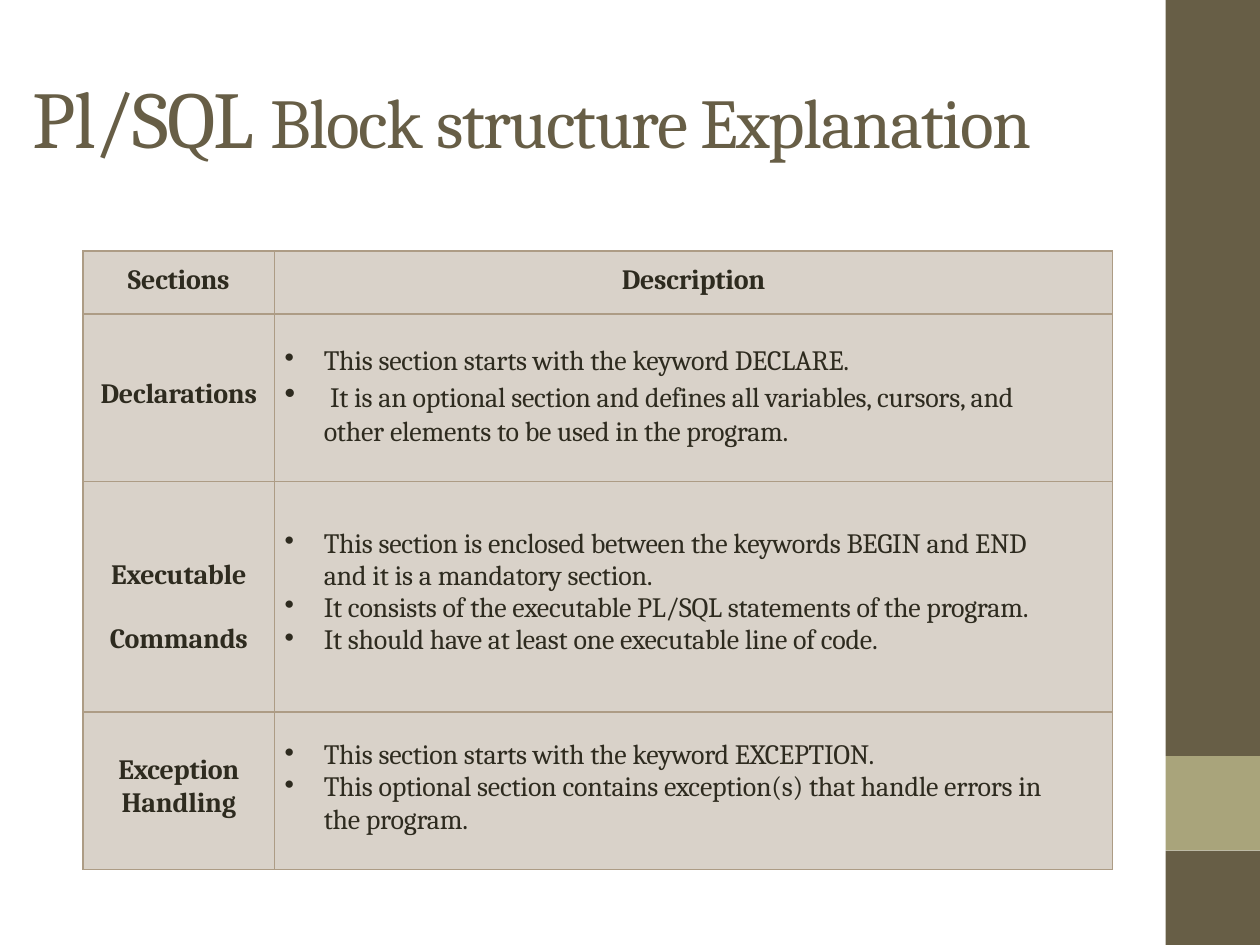
from dataclasses import dataclass
from lxml import etree
from pptx import Presentation
from pptx.dml.color import RGBColor as Rgb
from pptx.enum.shapes import MSO_SHAPE as Shape
from pptx.enum.text import MSO_ANCHOR as Anchor, PP_ALIGN as Align
from pptx.oxml import parse_xml
from pptx.oxml.ns import qn
from pptx.util import Inches, Pt


@dataclass(frozen=True)
class Theme:
    olive: str = "675E46"
    sage: str = "A9A47B"
    ink: str = "2E2B1F"
    sand: str = "D9D2C9"
    edge: str = "AD9C85"
    serif: str = "Cambria"
    sans: str = "Calibri"
    title: int = 46
    sub: int = 40
    tab: int = 18
    body: int = 16


T = Theme()


def write(frame, paras, size=T.body, color=T.ink, bold=False, align=Align.LEFT,
          gap=0, track=-0.1, bullet=False):
    """Fill a frame; each paragraph is a list of (text, size, font), | breaks a line."""
    frame.word_wrap = True
    for i, runs in enumerate(paras):
        para = frame.paragraphs[0] if i == 0 else frame.add_paragraph()
        para.alignment = align
        para.space_before = Pt(gap if i else 0)
        if bullet:
            props = para._p.get_or_add_pPr()
            props.set("marL", str(Inches(0.39)))
            props.set("indent", str(-Inches(0.31)))
            etree.SubElement(props, qn("a:buChar")).set("char", "•")
            if runs[0][0] == "\t":
                tabs = etree.SubElement(props, qn("a:tabLst"))
                stop = etree.SubElement(tabs, qn("a:tab"))
                stop.set("pos", str(Inches(0.44)))
                stop.set("algn", "l")
        for words, pts, face in runs:
            for j, part in enumerate(words.split("|")):
                if j:
                    para.add_line_break()
                run = para.add_run()
                run.text = part
                font = run.font
                font.name, font.size, font.bold = face, Pt(pts or size), bold
                font.color.rgb = Rgb.from_string(color)
                run._r.get_or_add_rPr().set("spc", str(round(track * 100)))


def plain(*lines):
    return [[(line, None, T.serif)] for line in lines]


deck = Presentation()
deck.slide_width, deck.slide_height = Inches(10), Inches(7.5)
slide = deck.slides.add_slide(deck.slide_layouts[6])

# Side band
for top, high, color in [(0, 6, T.olive), (6.75, 0.75, T.olive), (6, 0.75, T.sage)]:
    band = slide.shapes.add_shape(
        Shape.RECTANGLE, Inches(9.25), Inches(top), Inches(0.75), Inches(high))
    band.shadow.inherit = False
    band.fill.solid()
    band.fill.fore_color.rgb = Rgb.from_string(color)
    band.line.fill.background()

# Title
box = slide.shapes.add_textbox(Inches(0.26), Inches(0.51), Inches(8.25), Inches(0.79))
frame = box.text_frame
frame.margin_left = frame.margin_right = frame.margin_bottom = 0
frame.margin_top = Inches(0.03)
write(frame, [[("Pl/SQL ", T.title, T.serif),
               ("Block structure Explanation", T.sub, T.serif)]],
      color=T.olive, track=-0.85)

# Table content: height, then top margin and paragraphs of each column
rows = [
    (0.5, 0.11, plain("Sections"), 0.11, plain("Description")),
    (1.33, 0.51, plain("Declarations"), 0.25, [
        *plain("This section starts with the keyword DECLARE."),
        [("\t", T.tab, T.sans),
         ("It is an optional section and defines all variables, cursors, and|"
          "other elements to be used in the program.", None, T.serif)]]),
    (1.83, 0.62, plain("Executable", "Commands"), 0.37, plain(
        "This section is enclosed between the keywords BEGIN and END|"
        "and it is a mandatory section.",
        "It consists of the executable PL/SQL statements of the program.",
        "It should have at least one executable line of code.")),
    (1.25, 0.34, plain("Exception|Handling"), 0.22, plain(
        "This section starts with the keyword EXCEPTION.",
        "This optional section contains exception(s) that handle errors in|"
        "the program.")),
]

# Table
grid = slide.shapes.add_table(
    len(rows), 2, Inches(0.66), Inches(1.99), Inches(8.17), Inches(4.91)).table
grid.horz_banding = False
for col, wide in zip(grid.columns, (1.52, 6.65)):
    col.width = Inches(wide)

for r, (high, *parts) in enumerate(rows):
    grid.rows[r].height = Inches(high)
    for c in range(2):
        top, paras = parts[2 * c:2 * c + 2]
        cell = grid.cell(r, c)
        cell.margin_left = cell.margin_right = cell.margin_bottom = 0
        cell.margin_top = Inches(top)
        cell.vertical_anchor = Anchor.TOP
        cell.fill.solid()
        cell.fill.fore_color.rgb = Rgb.from_string(T.sand)
        head = r == 0 or c == 0
        write(cell.text_frame, paras, bold=head, bullet=not head,
              align=Align.CENTER if head else Align.LEFT, gap=18 if head else 0)
        # Cell borders
        props = cell._tc.get_or_add_tcPr()
        for n, side in enumerate("LRTB"):
            props.insert(n, parse_xml(
                f'<a:ln{side} w="{Pt(1)}" '
                'xmlns:a="http://schemas.openxmlformats.org/drawingml/2006/main">'
                f'<a:solidFill><a:srgbClr val="{T.edge}"/></a:solidFill></a:ln{side}>'))

deck.save("out.pptx")
